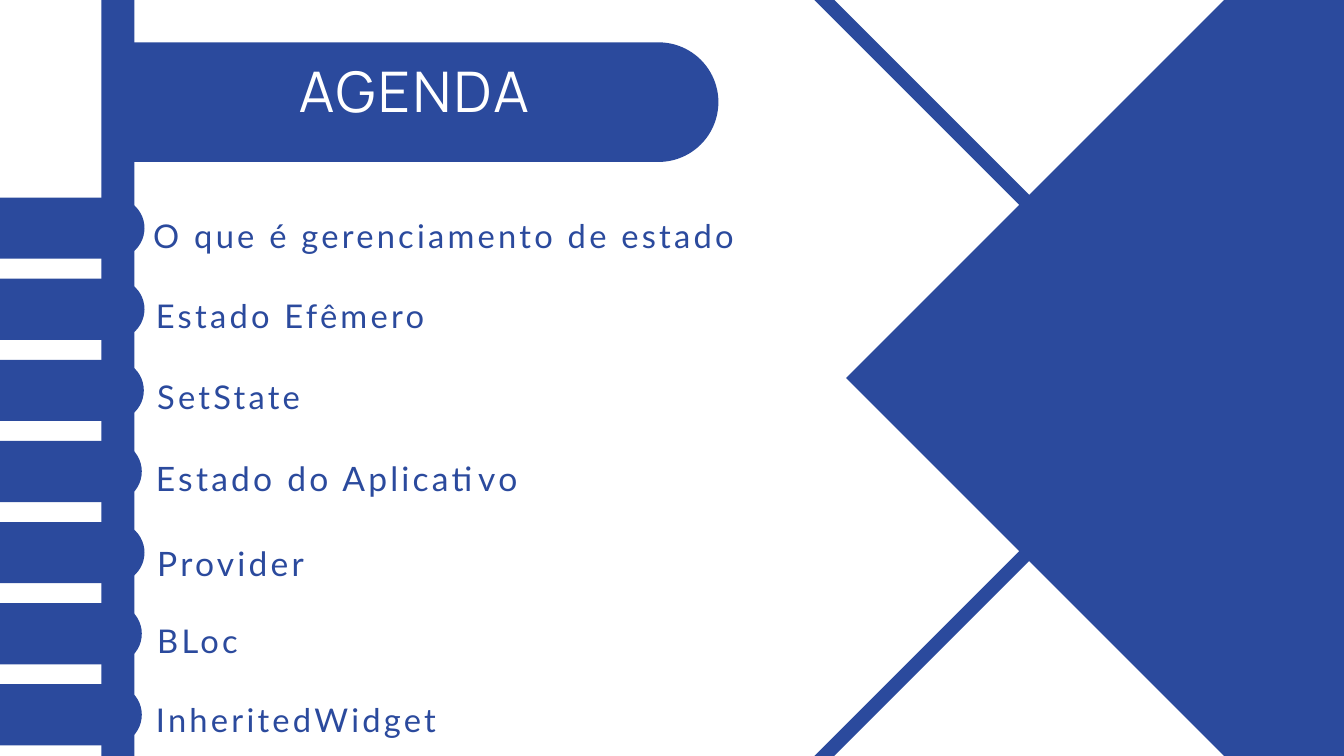
from pptx import Presentation
from pptx.dml.color import RGBColor
from pptx.enum.shapes import MSO_SHAPE as Shape
from pptx.enum.text import MSO_ANCHOR as Anchor, MSO_AUTO_SIZE as AutoSize, PP_ALIGN as Align
from pptx.util import Inches, Pt

BLUE = RGBColor(0x2B, 0x4A, 0x9D)
WHITE = RGBColor(0xFF, 0xFF, 0xFF)
WIDTH, HEIGHT = 20, 11.25
FRAME_SHARE = 0.031  # thickness of a frame as a share of its side

# Topic, left, top, width, height, text size
TOPICS = [
    ("O que é gerenciamento de estado", 2.28, 3.11, 9.36, 0.62, 35),
    ("Estado Efêmero", 2.32, 4.3, 10.93, 0.62, 35),
    ("SetState", 2.34, 5.51, 8.03, 0.62, 35),
    ("Estado do Aplicativo", 2.32, 6.74, 8.03, 0.62, 36),
    ("Provider", 2.34, 8, 8.03, 0.69, 36),
    ("BLoc", 2.34, 9.14, 8.03, 0.62, 35),
    ("InheritedWidget", 2.32, 10.32, 11.43, 0.62, 35),
]
TAB_ENDS = [2.15, 2.15, 2.14, 2.11, 2.15, 2.11, 2.11]
TAB_TOP, TAB_PITCH = 2.94, 1.207
TAB_LENGTH, TAB_HEIGHT = 2.15, 0.91


def add_solid(page, preset, box, color, rotation=0):
    shape = page.shapes.add_shape(preset, *map(Inches, box))
    shape.shadow.inherit = False
    shape.fill.solid()
    shape.fill.fore_color.rgb = color
    shape.line.fill.background()
    shape.rotation = rotation
    return shape


def add_tab(page, box):
    """Bar with a flat left end and a round right end, filling the box."""
    left, top, width, height = box
    upright = (left + (width - height) / 2, top + (height - width) / 2, height, width)
    tab = add_solid(page, Shape.ROUND_2_SAME_RECTANGLE, upright, BLUE, 90)
    tab.adjustments[0] = 0.5
    return tab


def write(holder, text, font, size, color, spacing, leading, align):
    frame = holder.text_frame
    frame.text = text
    frame.word_wrap = True
    frame.auto_size = AutoSize.NONE
    frame.vertical_anchor = Anchor.TOP
    frame.margin_left = frame.margin_right = frame.margin_top = frame.margin_bottom = 0
    para = frame.paragraphs[0]
    para.alignment = align
    para.line_spacing = Pt(leading)
    span = para.runs[0]
    span.font.name = font
    span.font.size = Pt(size)
    span.font.color.rgb = color
    span.font._element.set("spc", str(int(spacing * 100)))


def add_diamonds(page, center_x, center_y):
    """Large diamond with a white rim, and the two line diamonds beside it."""
    def square_box(x, y, side):
        return x - side / 2, y - side / 2, side, side

    add_solid(page, Shape.RECTANGLE, square_box(center_x + 0.67, center_y, 11.13), BLUE, 45)
    line_x, line_offset = center_x - 3.43, 6.54
    frames = [
        (center_x, center_y, 10.27, WHITE),
        (line_x, center_y + line_offset, 6.74, BLUE),
        (line_x, center_y - line_offset, 6.74, BLUE),
    ]
    for x, y, side, color in frames:
        rim = add_solid(page, Shape.FRAME, square_box(x, y, side), color, 45)
        rim.adjustments[0] = FRAME_SHARE


def add_heading(page, box):
    left, top, width, height = box
    banner = add_tab(page, box)
    title = page.shapes.title
    title.left, title.top = Inches(left + 0.33), Inches(top + 0.33)
    title.width, title.height = Inches(width - 1.02), Inches(height - 0.8)
    write(title, "AGENDA", "Manrope", 60, WHITE, 3, 63, Align.CENTER)
    banner.element.addnext(title.element)  # bring the title in front of its banner


def add_agenda(page):
    for row, (topic, end) in enumerate(zip(TOPICS, TAB_ENDS)):
        text, left, top, width, height, size = topic
        add_tab(page, (end - TAB_LENGTH, TAB_TOP + row * TAB_PITCH, TAB_LENGTH, TAB_HEIGHT))
        label = page.shapes.add_textbox(*map(Inches, (left, top, width, height)))
        write(label, text, "Lato", size, BLUE, 3.5, 49, Align.LEFT)


def main():
    deck = Presentation()
    deck.slide_width, deck.slide_height = Inches(WIDTH), Inches(HEIGHT)
    page = deck.slides.add_slide(deck.slide_layouts.get_by_name("Title Only"))

    # Upright bar and diamonds
    add_solid(page, Shape.RECTANGLE, (1.51, 0, 0.49, HEIGHT), BLUE)
    add_diamonds(page, 19.4, HEIGHT / 2)

    # Heading and topics
    add_heading(page, (1.99, 0.63, 8.7, 1.78))
    add_agenda(page)
    deck.save("out.pptx")


if __name__ == "__main__":
    main()
